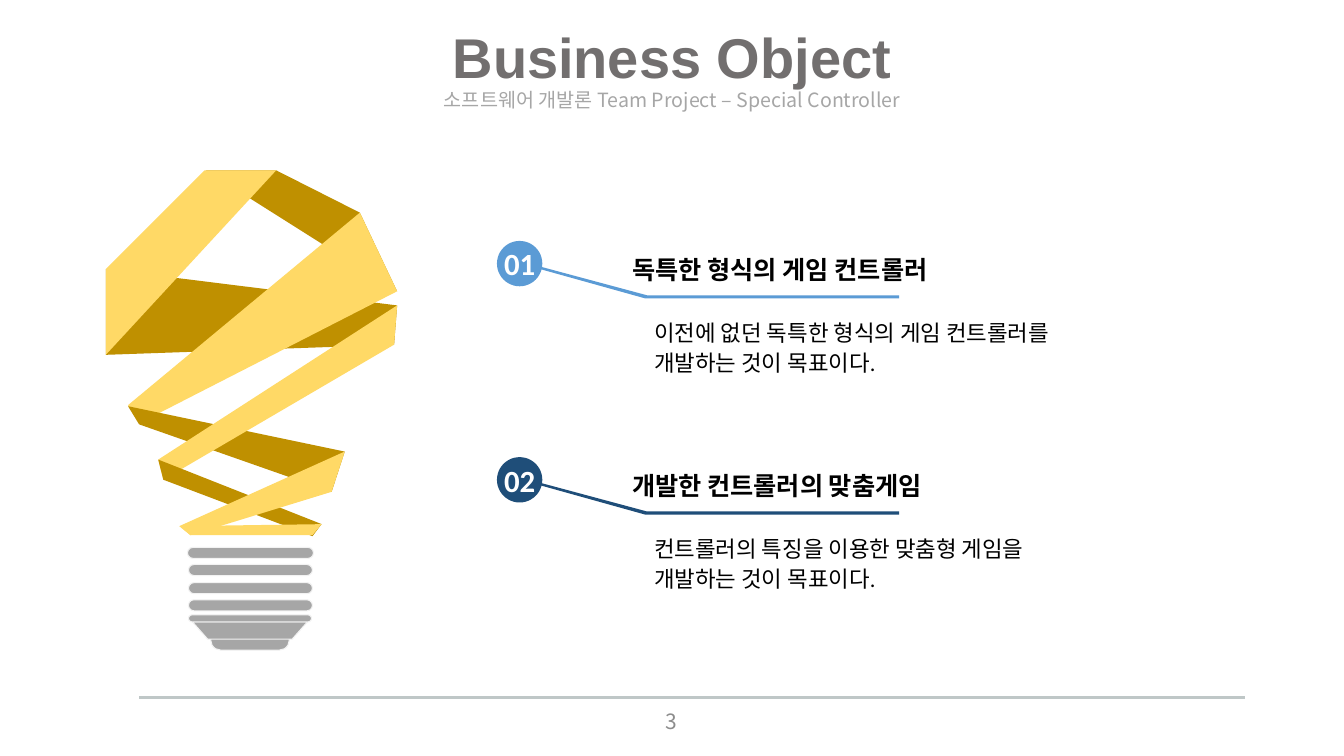
import pptx
import pptx.dml.color
import pptx.enum.shapes
import pptx.enum.text
import pptx.oxml.ns
import pptx.util
from lxml import etree

UNIT = pptx.util.Inches(0.1)  # one grid column, and one grid row
COLUMNS, ROWS = 133.33, 75
ITEM_PITCH = 21.45
SHAPES = pptx.enum.shapes.MSO_SHAPE
ALIGN = pptx.enum.text.PP_ALIGN
ANCHOR = pptx.enum.text.MSO_ANCHOR

COLORS = {
    "gold": "FFD966", "dark gold": "BF9000", "metal": "A6A6A6", "metal edge": "F2F2F2",
    "blue": "5B9BD5", "navy": "1F4E79", "white": "FFFFFF", "black": "000000",
    "title": "726F6F", "subtitle": "A6A6A6", "number": "8C8C8C", "rule": "BFC7C7",
}

RIBBONS = [
    ("dark gold", [(20.4, 16.9), (39.4, 28.9), (35.7, 21.1), (27.4, 16.9)]),
    ("dark gold", [(10.5, 26.7), (39.4, 30.3), (39.1, 34.2), (10.5, 35.2)]),
    ("gold", [(35.7, 21.1), (12.7, 40.2), (13.8, 42), (39.4, 28.9)]),
    ("dark gold", [(12.7, 40.3), (34.2, 44.8), (32.9, 48.8), (13.8, 42.1)]),
    ("gold", [(39.4, 30.3), (15.7, 45.6), (16.2, 47.6), (39.1, 34.2)]),
    ("dark gold", [(15.7, 45.6), (31.9, 52), (31, 53.2), (16.2, 47.6)]),
    ("gold", [(20.3, 16.9), (10.5, 26.7), (10.5, 35.2), (27.4, 16.9)]),
    ("gold", [(18.9, 53.1), (32.9, 48.8), (34.2, 44.8), (17.8, 52.2)]),
    ("gold", [(17.8, 52.2), (31.9, 52), (31, 53.1), (18.9, 53.1)]),
]

# Left, top, width and height of each ring of the bulb's screw base
RINGS = [
    (20.9, 62.5, 7.8, 2),
    (18.7, 56, 12.3, 1.1),
    (18.7, 57.8, 12.3, 1.1),
    (18.7, 59.5, 12.3, 1.1),
    (18.7, 61, 12.2, 0.7),
    (18.6, 54.3, 12.5, 1.1),
]
CUP = [(19.1, 61.7), (30.5, 61.7), (29, 63.4), (20.6, 63.4)]
LEADER = [(89.2, 29.6), (64, 29.6), (53.6, 26.7), (53.8, 26.5), (64.2, 29.3), (89.2, 29.3)]

ITEMS = [
    ("01", "blue", "독특한 형식의 게임 컨트롤러",
     ["이전에 없던 독특한 형식의 게임 컨트롤러를 개발하는 것이 목표이다."]),
    ("02", "navy", "개발한 컨트롤러의 맞춤게임",
     ["컨트롤러의 특징을 이용한 맞춤형 게임을", "개발하는 것이 목표이다."]),
]


def grid(*counts):
    return [round(count * UNIT) for count in counts]


def rgb(name):
    return pptx.dml.color.RGBColor.from_string(COLORS[name])


def paint(shape, fill, edge=None):
    shape.shadow.inherit = False
    shape.fill.solid()
    shape.fill.fore_color.rgb = rgb(fill)
    if edge:
        shape.line.color.rgb = rgb(edge)
        shape.line.width = pptx.util.Pt(0.75)
    else:
        shape.line.fill.background()


def add_polygon(page, points, fill, edge=None, down=0):
    corners = [grid(x, y + down) for x, y in points]
    builder = page.shapes.build_freeform(*corners[0])
    builder.add_line_segments(corners[1:], close=True)
    paint(builder.convert_to_shape(), fill, edge)


def write(box, lines, size, font, color, bold=False, align=ALIGN.LEFT,
          anchor=ANCHOR.TOP, spacing=1.0, inset=(1, 0.5)):
    """Fill a box with one paragraph per line, free of bullets and indents."""
    frame = box.text_frame
    frame.word_wrap = True
    frame.auto_size = pptx.enum.text.MSO_AUTO_SIZE.NONE
    frame.vertical_anchor = anchor
    frame.margin_left, frame.margin_top = grid(*inset)
    frame.margin_right, frame.margin_bottom = grid(*inset)
    for index, line in enumerate(lines):
        para = frame.add_paragraph() if index else frame.paragraphs[0]
        para.alignment = align
        para.line_spacing = spacing
        para.space_before = para.space_after = pptx.util.Pt(0)
        properties = para._p.get_or_add_pPr()
        properties.set("marL", "0")
        properties.set("indent", "0")
        etree.SubElement(properties, pptx.oxml.ns.qn("a:buNone"))
        span = para.add_run()
        span.text = line
        span.font.name = font
        span.font.size = pptx.util.Pt(size)
        span.font.bold = bold
        span.font.color.rgb = rgb(color)


def place(box, left, top, width, height):
    box.left, box.top, box.width, box.height = grid(left, top, width, height)
    return box


def add_bulb(page):
    for number, ring in enumerate(RINGS):
        shape = page.shapes.add_shape(SHAPES.ROUNDED_RECTANGLE, *grid(*ring))
        shape.adjustments[0] = 0.5
        paint(shape, "metal", "metal edge")
        if number == 0:
            add_polygon(page, CUP, "metal", "metal edge")
    for color, points in RIBBONS:
        add_polygon(page, points, color)


def add_item(page, index, number, color, heading, lines):
    down = index * ITEM_PITCH
    badge = page.shapes.add_shape(SHAPES.OVAL, *grid(49.3, 23.9 + down, 4.5, 4.5))
    paint(badge, color)
    write(badge, [number], 22, "Calibri", "white", bold=True, align=ALIGN.CENTER,
          anchor=ANCHOR.MIDDLE, inset=(0, 0))
    add_polygon(page, LEADER, color, down=down)
    title_box = page.placeholders[1 + 2 * index]
    write(place(title_box, 61.7, 24.7 + down, 34.8, 4), [heading], 18, "Cabin", "black", bold=True)
    body_box = page.placeholders[2 + 2 * index]
    write(place(body_box, 63.7, 30.8 + down, 46.6, 7.1), lines, 16, "Calibri", "black",
          spacing=1.1, inset=(1.2, 0.6))


def add_header(page):
    write(place(page.shapes.title, 23.9, 1.7, 85.5, 7.7), ["Business Object"], 40, "Arial",
          "title", bold=True, align=ALIGN.CENTER)
    subtitle = page.shapes.add_textbox(*grid(33.4, 8.2, 66.6, 3.4))
    write(subtitle, ["소프트웨어 개발론 Team Project – Special Controller"], 14,
          "Noto Sans CJK KR", "subtitle", align=ALIGN.CENTER)


def add_footer(page):
    number = page.shapes.add_textbox(*grid(51.6, 69.5, 30, 4))
    write(number, ["3"], 15, "Noto Sans CJK KR", "number", align=ALIGN.CENTER,
          anchor=ANCHOR.MIDDLE)
    rule = page.shapes.add_connector(pptx.enum.shapes.MSO_CONNECTOR.STRAIGHT,
                                     *grid(13.8, 69.2, 123.5, 69.2))
    rule.line.color.rgb = rgb("rule")
    rule.line.width = pptx.util.Pt(1.5)
    etree.SubElement(rule._element.spPr, pptx.oxml.ns.qn("a:effectLst"))


def main():
    deck = pptx.Presentation()
    deck.slide_width, deck.slide_height = grid(COLUMNS, ROWS)
    comparison_layout = deck.slide_layouts[4]
    page = deck.slides.add_slide(comparison_layout)
    add_bulb(page)
    for index, item in enumerate(ITEMS):
        add_item(page, index, *item)
    add_header(page)
    add_footer(page)
    deck.save("out.pptx")


if __name__ == "__main__":
    main()
